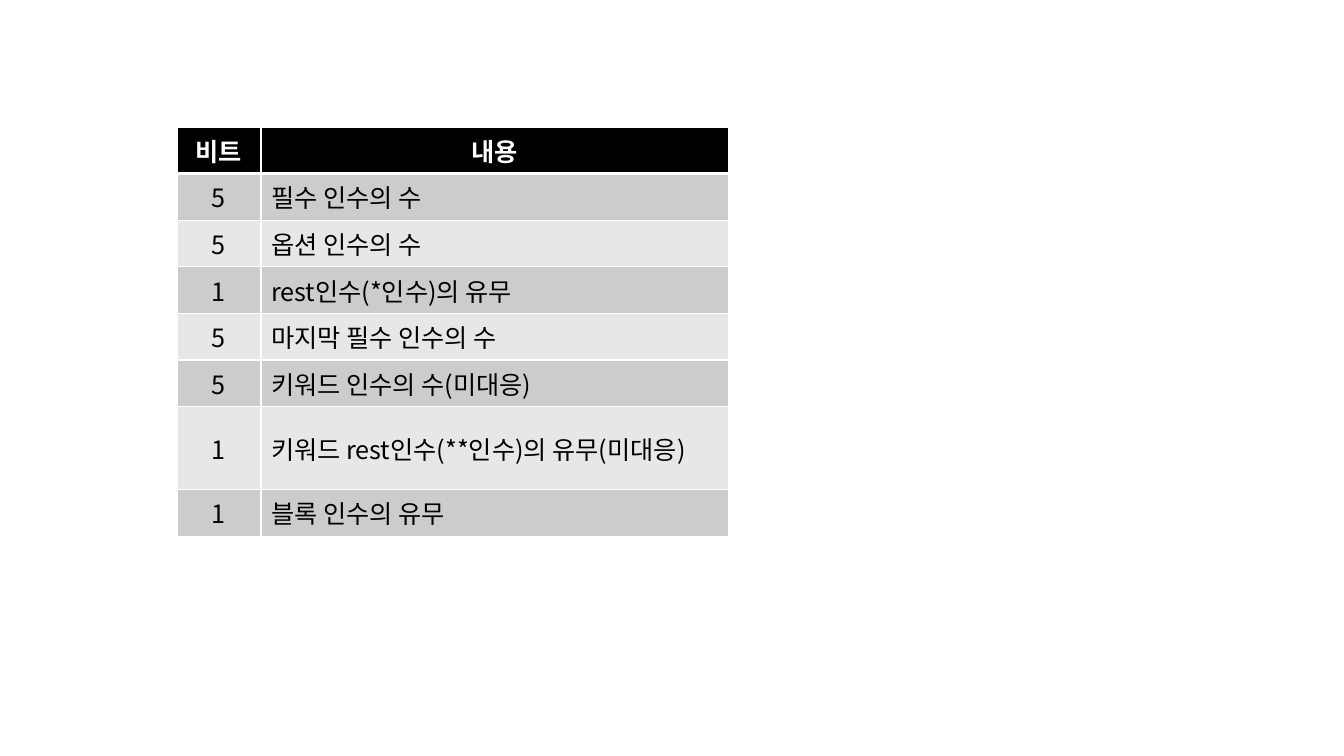
from lxml import etree
from pptx import Presentation
from pptx.enum import text
from pptx.oxml import ns
from pptx.dml.color import RGBColor
from pptx.util import Emu, Pt

SCALE = 914400 / 100.8
COLORS = {"head": "000000", "odd": "CCCCCC", "even": "E7E7E7",
          "border": "FFFFFF", "head_text": "FFFFFF", "text": "000000"}
CENTER, LEFT = text.PP_ALIGN.CENTER, text.PP_ALIGN.LEFT


def px(n):
    return Emu(round(n * SCALE))


def write(tf, content, size=18, color="text", bold=False, align=LEFT, font="Noto Sans CJK KR"):
    p = tf.paragraphs[0]
    p.alignment = align
    r = p.add_run()
    r.text = content
    r.font.size, r.font.bold, r.font.name = Pt(size), bold, font
    r.font.color.rgb = RGBColor.from_string(COLORS[color])
    etree.SubElement(r.font._element, ns.qn("a:ea"), typeface=font)


class Deck:
    def __init__(self, width, height):
        self.prs = Presentation()
        self.prs.slide_width, self.prs.slide_height = px(width), px(height)
        self.s = self.prs.slides.add_slide(self.prs.slide_layouts[6])

    def border(self, cell, **widths):
        tcPr = cell._tc.get_or_add_tcPr()
        for side in "LRTB":
            ln = etree.SubElement(tcPr, ns.qn("a:ln" + side), w=str(Pt(widths.get(side, 1))))
            fill = etree.SubElement(ln, ns.qn("a:solidFill"))
            etree.SubElement(fill, ns.qn("a:srgbClr"), val=COLORS["border"])

    def table(self, x, y, col_widths, row_height, rows):
        sp = self.s.shapes.add_table(len(rows), len(col_widths), px(x), px(y),
                                     px(sum(col_widths)), px(row_height * len(rows)))
        table = sp.table
        for col, width in zip(table.columns, col_widths):
            col.width = px(width)
        for i, row in enumerate(rows):
            table.rows[i].height = px(row_height)
            head = i == 0
            fill = "head" if head else "odd" if i % 2 else "even"
            for j, content in enumerate(row):
                cell = table.cell(i, j)
                # The rule under the header is thicker than the grid
                self.border(cell, T=3 if i == 1 else 1, B=3 if head else 1)
                cell.fill.solid()
                cell.fill.fore_color.rgb = RGBColor.from_string(COLORS[fill])
                cell.vertical_anchor = text.MSO_ANCHOR.MIDDLE
                write(cell.text_frame, content, bold=head,
                      color="head_text" if head else "text",
                      align=CENTER if head or j == 0 else LEFT)


# Bit layout of the argument specification
BIT_ROWS = [
    ("비트", "내용"),
    ("5", "필수 인수의 수"),
    ("5", "옵션 인수의 수"),
    ("1", "rest인수(*인수)의 유무"),
    ("5", "마지막 필수 인수의 수"),
    ("5", "키워드 인수의 수(미대응)"),
    ("1", "키워드 rest인수(**인수)의 유무(미대응)"),
    ("1", "블록 인수의 유무"),
]

deck = Deck(1344, 756)
deck.table(177, 127, (84, 468), 41, BIT_ROWS)
deck.prs.save("out.pptx")
